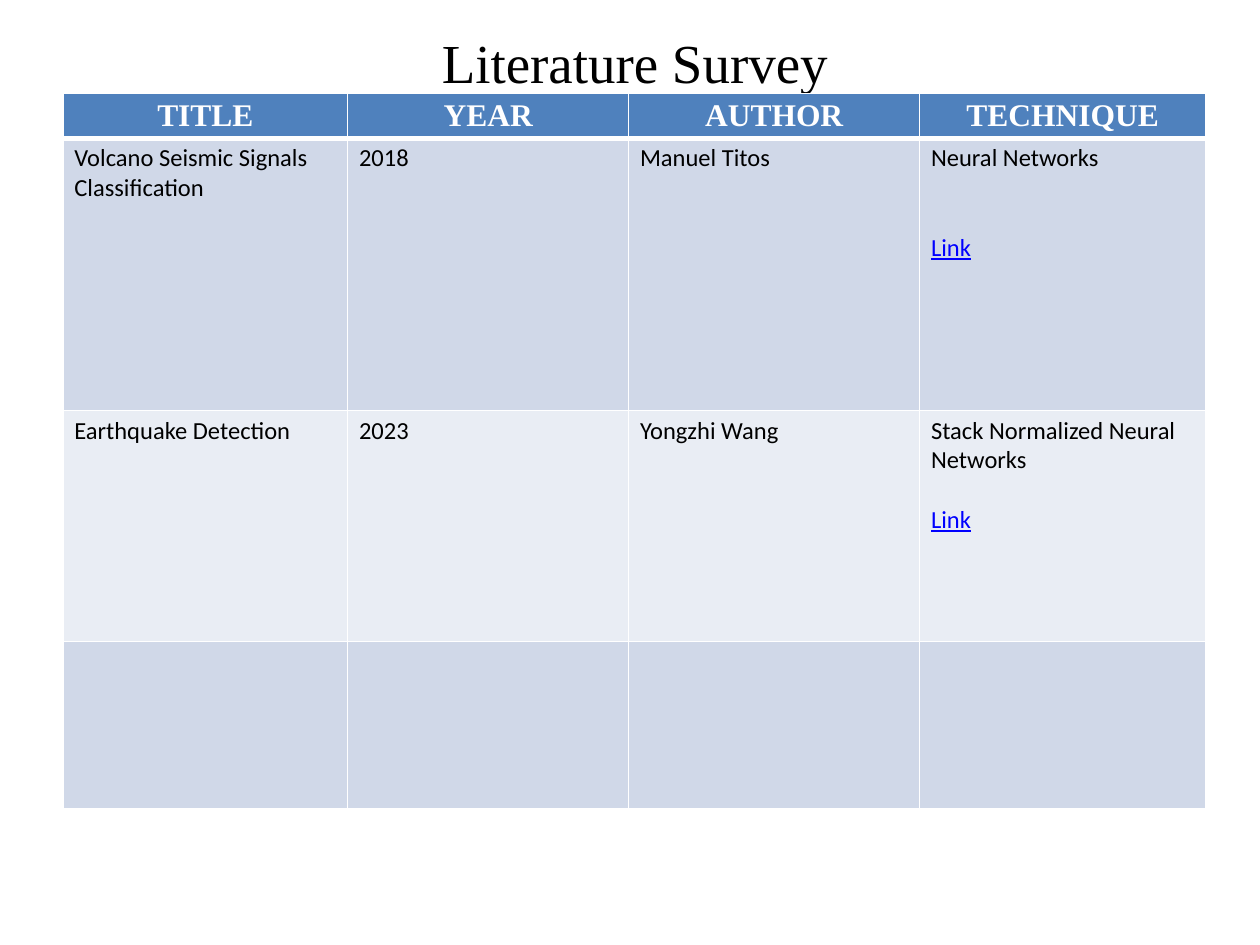
from lxml import etree
from pptx import Presentation
from pptx import util as u
from pptx.dml.color import RGBColor
from pptx.enum import text
from pptx.oxml.ns import qn

SERIF, SANS = "Times New Roman", "Calibri"
HEADER, BANDS = "4F81BD", ("D0D8E8", "E9EDF4")
WHITE, BLACK, BLUE = "FFFFFF", "000000", "0000FF"
COL_WIDTHS = (2.26, 2.23, 2.31, 2.27)
ROW_HEIGHTS = (0.36, 2.16, 1.83, 1.33)
HEADINGS = ("TITLE", "YEAR", "AUTHOR", "TECHNIQUE")
# Each paper ends with the gap in points above its link
PAPERS = (
    ("Volcano Seismic Signals Classification", "2018", "Manuel Titos",
     "Neural Networks", 34),
    ("Earthquake Detection", "2023", "Yongzhi Wang",
     "Stack Normalized Neural Networks", 17),
)


def rgb(value):
    return RGBColor.from_string(value)


def add_run(p, words, size, font, color, bold=False, underline=False):
    r = p.add_run()
    r.text = words
    r.font.size, r.font.name = u.Pt(size), font
    r.font.bold, r.font.underline = bold, underline
    r.font.color.rgb = rgb(color)


def set_borders(cell, top, bottom):
    """Draw white cell edges; call before the fill, which must follow them."""
    tc_pr = cell._tc.get_or_add_tcPr()
    for edge, width in (("L", 0.96), ("R", 0.96), ("T", top), ("B", bottom)):
        ln = etree.SubElement(tc_pr, qn(f"a:ln{edge}"), w=str(u.Pt(width)))
        fill = etree.SubElement(ln, qn("a:solidFill"))
        etree.SubElement(fill, qn("a:srgbClr"), val=WHITE)


def add_title(s, left, top, width, height):
    sp = s.shapes.title
    sp.left, sp.top, sp.width, sp.height = left, top, width, height
    tf = sp.text_frame
    tf.vertical_anchor = text.MSO_ANCHOR.TOP
    tf.margin_top = u.Inches(0.15)
    p = tf.paragraphs[0]
    p.alignment = text.PP_ALIGN.CENTER
    add_run(p, "Literature Survey", 31.4, SERIF, BLACK)


def add_survey_table(s, left, top, width, height):
    table = s.shapes.add_table(len(ROW_HEIGHTS), len(COL_WIDTHS),
                               left, top, width, height).table
    table.horz_banding = False
    for column, size in zip(table.columns, COL_WIDTHS):
        column.width = u.Inches(size)
    for row, size in zip(table.rows, ROW_HEIGHTS):
        row.height = u.Inches(size)

    # Borders, margins and banded fills
    for i, row in enumerate(table.rows):
        for cell in row.cells:
            set_borders(cell, 3 if i == 1 else 0.96, 3 if i == 0 else 0.96)
            cell.fill.solid()
            cell.fill.fore_color.rgb = rgb(BANDS[(i - 1) % 2] if i else HEADER)
            cell.margin_left = cell.margin_right = u.Inches(0.09)
            cell.margin_top = cell.margin_bottom = u.Inches(0.04)

    # Header row
    for j, heading in enumerate(HEADINGS):
        p = table.cell(0, j).text_frame.paragraphs[0]
        p.alignment = text.PP_ALIGN.CENTER
        add_run(p, heading, 18, SERIF, WHITE, bold=True)

    # One row for each paper, with its link under the technique
    for i, (*entries, gap) in enumerate(PAPERS, 1):
        for j, entry in enumerate(entries):
            tf = table.cell(i, j).text_frame
            add_run(tf.paragraphs[0], entry, 14, SANS, BLACK)
        p = tf.add_paragraph()
        p.space_before = u.Pt(gap)
        add_run(p, "Link", 14, SANS, BLUE, underline=True)


def main():
    prs = Presentation()
    prs.slide_width, prs.slide_height = u.Inches(10), u.Inches(7.5)
    s = prs.slides.add_slide(prs.slide_layouts[5])
    add_title(s, u.Inches(0.54), u.Inches(0.08), u.Inches(9), u.Inches(1.25))
    add_survey_table(s, u.Inches(0.5), u.Inches(0.74),
                     u.Inches(sum(COL_WIDTHS)), u.Inches(sum(ROW_HEIGHTS)))
    prs.save("out.pptx")


if __name__ == "__main__":
    main()
